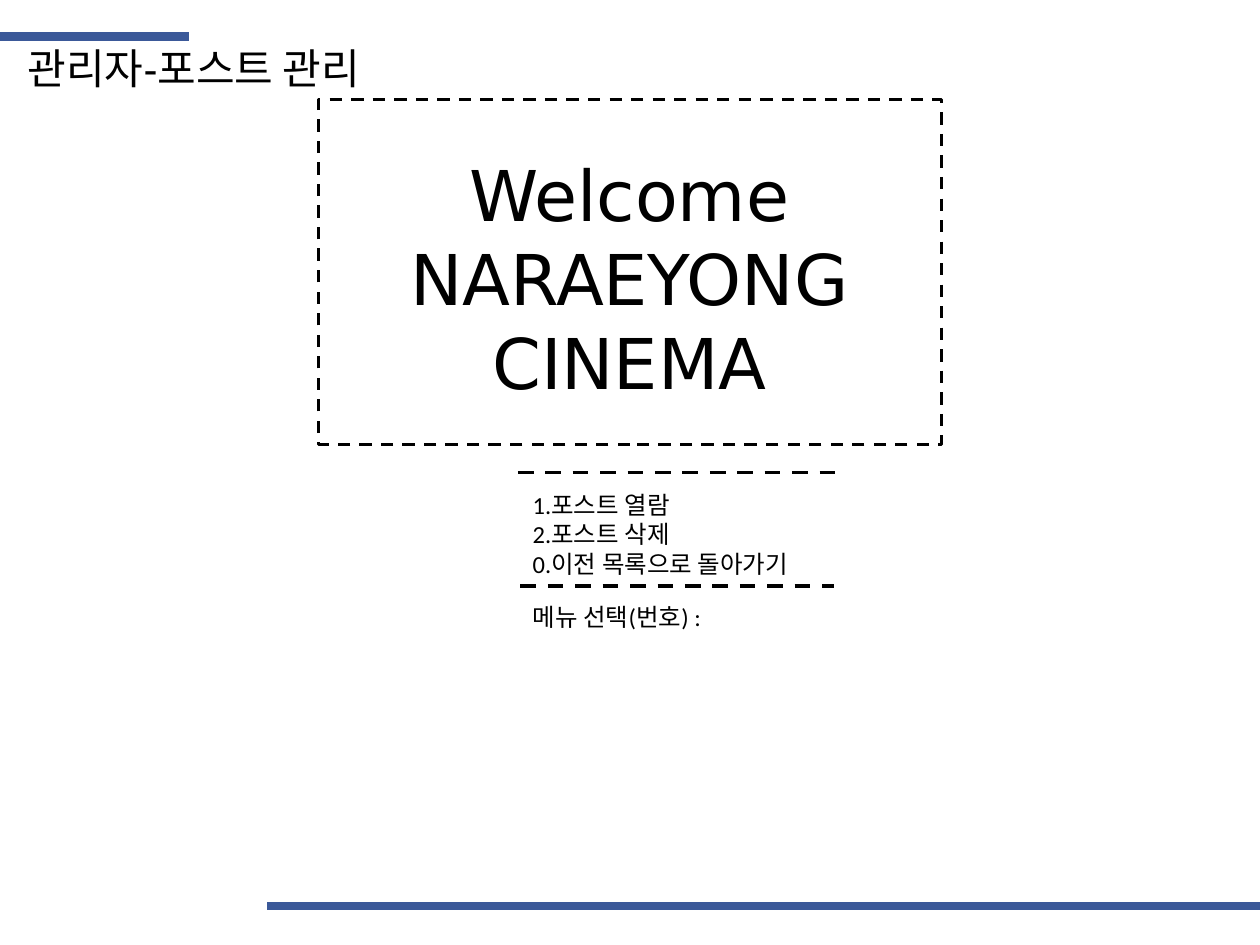
from dataclasses import dataclass

from pptx import Presentation
from pptx.dml.color import RGBColor
from pptx.enum.dml import MSO_LINE
from pptx.enum.shapes import MSO_CONNECTOR, MSO_SHAPE
from pptx.enum.text import MSO_ANCHOR, MSO_AUTO_SIZE, PP_ALIGN
from pptx.oxml.ns import qn
from pptx.util import Inches, Pt

BLUE = RGBColor(0x3B, 0x59, 0x99)
BLACK = RGBColor(0, 0, 0)


@dataclass
class Rule:
    left: float
    right: float
    y: float
    color: RGBColor
    width: float
    dashed: bool = False


@dataclass
class Label:
    left: float
    top: float
    width: float
    height: float
    lines: list[str]
    size: int
    font: str
    align: PP_ALIGN = PP_ALIGN.LEFT


RULES = [
    Rule(0, 1.5, 0.29, BLUE, 5),
    Rule(2.12, 10, 7.19, BLUE, 5),
    Rule(4.11, 6.63, 3.75, BLACK, 2.25, True),
    Rule(4.13, 6.62, 4.65, BLACK, 2.25, True),
]
TITLE = Label(0.12, 0.29, 4.38, 0.5, ["관리자-포스트 관리"], 24, "Arial")
LABELS = [
    Label(2.18, 1.15, 5.63, 1.85, ["Welcome", "NARAEYONG", "CINEMA"],
          40, "DejaVu Sans", PP_ALIGN.CENTER),
    Label(4.13, 3.84, 2.73, 0.75,
          ["1.포스트 열람", "2.포스트 삭제", "0.이전 목록으로 돌아가기"], 14, "Calibri"),
    Label(4.13, 4.73, 2.39, 0.34, ["메뉴 선택(번호) :"], 14, "Calibri"),
]


def add_rule(slide, rule: Rule) -> None:
    line = slide.shapes.add_connector(
        MSO_CONNECTOR.STRAIGHT, Inches(rule.left), Inches(rule.y),
        Inches(rule.right), Inches(rule.y))
    line.line.color.rgb = rule.color
    line.line.width = Pt(rule.width)
    if rule.dashed:
        line.line.dash_style = MSO_LINE.DASH
    sp_pr = line._element.spPr
    sp_pr.append(sp_pr.makeelement(qn("a:effectLst"), {}))


def add_frame(slide) -> None:
    sp = slide.shapes.add_shape(
        MSO_SHAPE.RECTANGLE, Inches(2.53), Inches(0.79), Inches(4.94), Inches(2.74))
    sp.shadow.inherit = False
    sp.fill.background()
    sp.line.color.rgb = BLACK
    sp.line.width = Pt(1.75)
    sp.line.dash_style = MSO_LINE.DASH


def fill_label(sp, label: Label) -> None:
    sp.left, sp.top = Inches(label.left), Inches(label.top)
    sp.width, sp.height = Inches(label.width), Inches(label.height)
    tf = sp.text_frame
    tf.text = "\n".join(label.lines)
    tf.word_wrap = True
    tf.auto_size = MSO_AUTO_SIZE.NONE
    tf.vertical_anchor = MSO_ANCHOR.TOP
    for p in tf.paragraphs:
        p.alignment = label.align
        p.font.size = Pt(label.size)
        p.font.name = label.font
        p.font.color.rgb = BLACK


def main() -> None:
    prs = Presentation()
    prs.slide_width, prs.slide_height = Inches(10), Inches(7.5)
    s = prs.slides.add_slide(prs.slide_layouts[5])
    fill_label(s.shapes.title, TITLE)
    for rule in RULES:
        add_rule(s, rule)
    add_frame(s)
    for label in LABELS:
        fill_label(s.shapes.add_textbox(0, 0, 0, 0), label)
    prs.save("out.pptx")


if __name__ == "__main__":
    main()
